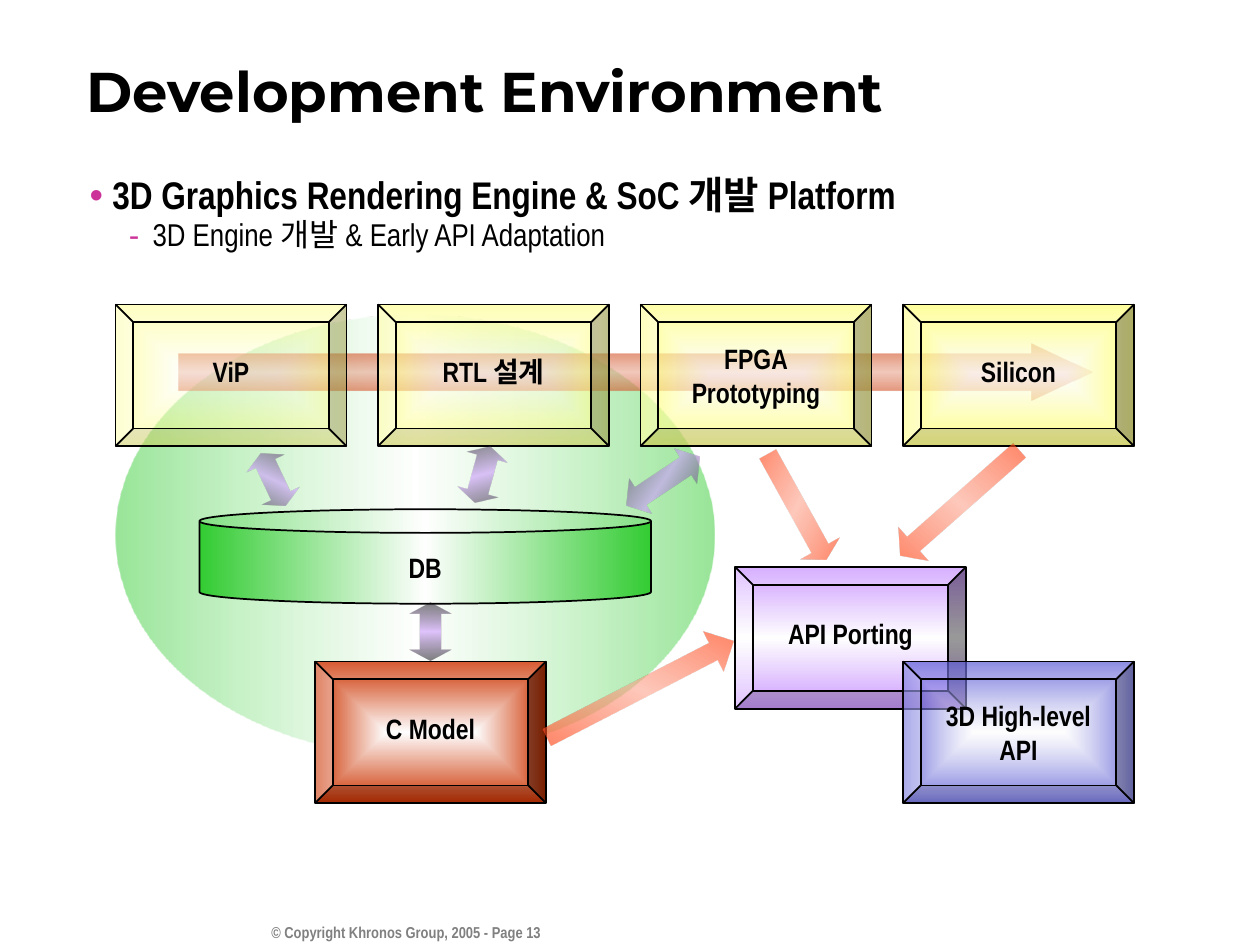
from dataclasses import dataclass
from typing import Optional

from pptx import Presentation
from pptx import oxml
from pptx import util as u
from pptx.dml.color import RGBColor
from pptx.enum import shapes, text
from pptx.oxml import ns

Shape = shapes.MSO_SHAPE
Align = text.PP_ALIGN
Anchor = text.MSO_ANCHOR
BLACK, WHITE, PINK = "000000", "FEFEFE", "CC3399"
NARROW = "Arial Narrow"


@dataclass
class Gradient:
    """Stops are (position %, colour, opacity %); no angle means a gradient from the centre."""
    stops: list[tuple[int, str, int]]
    angle: Optional[float] = None


@dataclass
class Block:
    label: str
    left: float
    top: float
    gradient: Gradient
    line_spacing: float = 0.7


@dataclass
class BlockArrow:
    left: float
    top: float
    width: float
    head: float
    rotation: float
    angle: float


def colour(value: str) -> RGBColor:
    return RGBColor.from_string(value)


def mirrored(edge: str, middle: str, angle: float, edge_alpha: int = 100,
             middle_alpha: int = 100) -> Gradient:
    return Gradient([(0, edge, edge_alpha), (50, middle, middle_alpha),
                     (100, edge, edge_alpha)], angle)


def central(edge: str, middle_alpha: int = 100, edge_alpha: int = 100) -> Gradient:
    return Gradient([(0, WHITE, middle_alpha), (100, edge, edge_alpha)])


def place(shape, left: float, top: float, width: float, height: float) -> None:
    shape.left, shape.top = u.Pt(left), u.Pt(top)
    shape.width, shape.height = u.Pt(width), u.Pt(height)


def fill_gradient(shape, gradient: Gradient) -> None:
    stops = "".join(
        f'<a:gs pos="{position * 1000}"><a:srgbClr val="{value}">'
        f'<a:alpha val="{alpha * 1000}"/></a:srgbClr></a:gs>'
        for position, value, alpha in gradient.stops)
    if gradient.angle is None:
        shade = ('<a:path path="rect"><a:fillToRect l="50000" t="50000" '
                 'r="50000" b="50000"/></a:path>')
    else:
        shade = f'<a:lin ang="{round(gradient.angle * 60000)}" scaled="0"/>'
    fill = oxml.parse_xml(f'<a:gradFill {ns.nsdecls("a")} rotWithShape="0">'
                          f'<a:gsLst>{stops}</a:gsLst>{shade}</a:gradFill>')
    shape._element.spPr.find(ns.qn("a:prstGeom")).addnext(fill)


def add_bullet(paragraph, character: str, margin: float, hanging: float) -> None:
    properties = paragraph._p.get_or_add_pPr()
    properties.set("marL", str(u.Pt(margin)))
    properties.set("indent", str(-u.Pt(hanging)))
    for content in (f'<a:buClr {ns.nsdecls("a")}><a:srgbClr val="{PINK}"/></a:buClr>',
                    f'<a:buFont {ns.nsdecls("a")} typeface="Arial"/>',
                    f'<a:buChar {ns.nsdecls("a")} char="{character}"/>'):
        properties.append(oxml.parse_xml(content))


def write_text(paragraph, content: str, *, size: float = 16, font: str = NARROW,
               bold: bool = True, fill: str = BLACK, align=Align.LEFT,
               line_spacing: float = 1.0) -> None:
    paragraph.text = content
    paragraph.alignment = align
    paragraph.line_spacing = line_spacing
    paragraph.space_before = u.Pt(0)
    for run in paragraph.runs:
        run.font.size = u.Pt(size)
        run.font.name = font
        run.font.bold = bold
        run.font.color.rgb = colour(fill)


def draw_shape(slide, kind, left: float, top: float, width: float, height: float,
               gradient: Gradient, adjustments: tuple = (), outlined: bool = False):
    shape = slide.shapes.add_shape(kind, u.Pt(left), u.Pt(top), u.Pt(width), u.Pt(height))
    shape.shadow.inherit = False
    for index, value in enumerate(adjustments):
        shape.adjustments[index] = value
    fill_gradient(shape, gradient)
    if outlined:
        shape.line.color.rgb = colour(BLACK)
        shape.line.width = u.Pt(1)
    else:
        shape.line.fill.background()
    return shape


def label_shape(shape, label: str, line_spacing: float) -> None:
    frame = shape.text_frame
    frame.word_wrap = False
    frame.vertical_anchor = Anchor.MIDDLE
    write_text(frame.paragraphs[0], label, align=Align.CENTER, line_spacing=line_spacing)


def draw_block(slide, block: Block) -> None:
    shape = draw_shape(slide, Shape.BEVEL, block.left, block.top, 132, 81,
                       block.gradient, (0.125,), outlined=True)
    label_shape(shape, block.label, block.line_spacing)


def draw_database(slide) -> None:
    can = draw_shape(slide, Shape.CAN, 114, 291, 258, 54,
                     mirrored("33CC33", WHITE, 180), (0.25,), outlined=True)
    label_shape(can, "DB", 0.7)
    can.text_frame.margin_top = u.Pt(14)


def draw_arrow(slide, kind, arrow: BlockArrow, height: float, shaft: float,
               gradient: Gradient) -> None:
    shape = draw_shape(slide, kind, arrow.left, arrow.top, arrow.width, height,
                       gradient, (shaft, arrow.head))
    shape.rotation = arrow.rotation


def write_headings(slide) -> None:
    title = slide.shapes.title
    place(title, 42, 36.5, 674.5, 30.5)
    title.text_frame.auto_size = text.MSO_AUTO_SIZE.NONE
    title.text_frame.vertical_anchor = Anchor.MIDDLE
    write_text(title.text_frame.paragraphs[0], "Development Environment",
               size=32, font="Montserrat")

    body = slide.placeholders[1]
    place(body, 44, 96, 658, 396)
    body.text_frame.auto_size = text.MSO_AUTO_SIZE.NONE
    heading = body.text_frame.paragraphs[0]
    add_bullet(heading, "•", 13, 13)
    write_text(heading, "3D Graphics Rendering Engine & SoC 개발 Platform",
               size=22, line_spacing=0.95)
    detail = body.text_frame.add_paragraph()
    detail.level = 1
    add_bullet(detail, "-", 36, 13.5)
    write_text(detail, "3D Engine 개발 & Early API Adaptation",
               size=18, bold=False, line_spacing=0.95)


def write_footer(slide) -> None:
    footer = slide.shapes.add_textbox(u.Pt(144), u.Pt(523.5), u.Pt(172), u.Pt(24))
    footer.text_frame.word_wrap = True
    write_text(footer.text_frame.paragraphs[0], "© Copyright Khronos Group, 2005 - Page 13",
               size=9, fill="808080", align=Align.RIGHT)


def main() -> None:
    presentation = Presentation()
    presentation.slide_width, presentation.slide_height = u.Pt(720), u.Pt(540)
    slide = presentation.slides.add_slide(presentation.slide_layouts[1])
    write_footer(slide)
    write_headings(slide)

    draw_shape(slide, Shape.OVAL, 66, 180, 342, 252, mirrored("33CC33", WHITE, 180, 50, 40))
    draw_shape(slide, Shape.RIGHT_ARROW, 102, 196.5, 522, 32.5,
               mirrored("CC3300", "E59D85", 90, 65, 55), (0.65, 1.09))
    draw_database(slide)

    stages = [("ViP", 0.7), ("RTL 설계", 0.7), ("FPGA\vPrototyping", 1.0), ("Silicon", 0.7)]
    blocks = [Block(label, 66 + 150 * i, 174,
                    central("FFFF66", 40 + 10 * i, 50 + 10 * i), spacing)
              for i, (label, spacing) in enumerate(stages)]
    blocks += [
        Block("C Model", 180, 378, central("CC3300")),
        Block("API Porting", 420, 324, mirrored("CE9DFF", WHITE, 90)),
        Block("3D High-level\vAPI", 516, 378, central("3333CC", 45, 70), 1.0),
    ]
    for block in blocks:
        draw_block(slide, block)

    database_links = [
        BlockArrow(139.5, 262, 33, 0.27, 64.8, 115),
        BlockArrow(259, 259, 33, 0.27, 105.2, 75),
        BlockArrow(354, 263, 50, 0.41, 326.8, 213),
        BlockArrow(229.5, 349, 33, 0.27, 270, 270),
    ]
    for link in database_links:
        draw_arrow(slide, Shape.LEFT_RIGHT_ARROW, link, 24, 0.5,
                   mirrored("060407", "CE9DFF", link.angle, 50, 60))

    porting_flows = [
        BlockArrow(306, 381, 120, 0.51, 332.9, 117),
        BlockArrow(421, 276.5, 68.5, 0.29, 61, 29),
        BlockArrow(503.5, 274.5, 90, 0.39, 138.4, 312),
    ]
    for flow in porting_flows:
        draw_arrow(slide, Shape.RIGHT_ARROW, flow, 26, 0.42,
                   mirrored("FF3300", "FE9D85", flow.angle, 65, 55))

    presentation.save("out.pptx")


if __name__ == "__main__":
    main()
